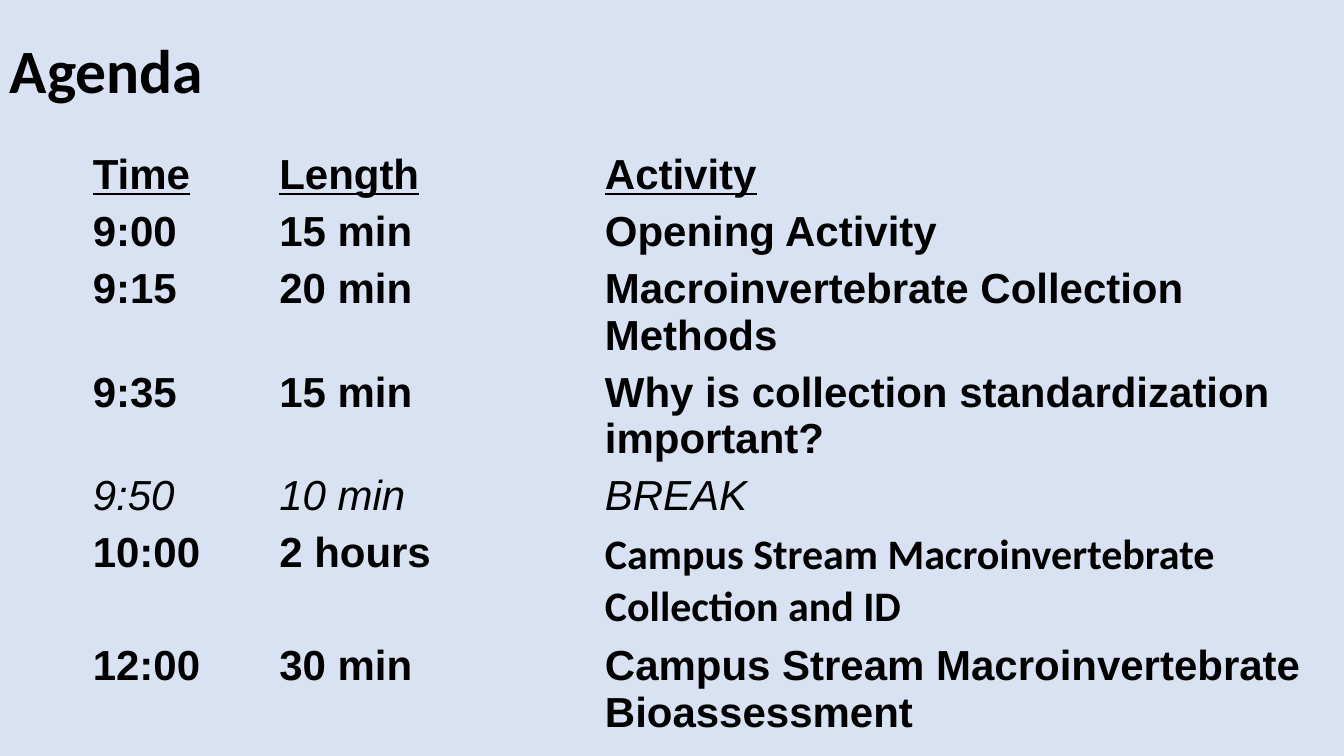
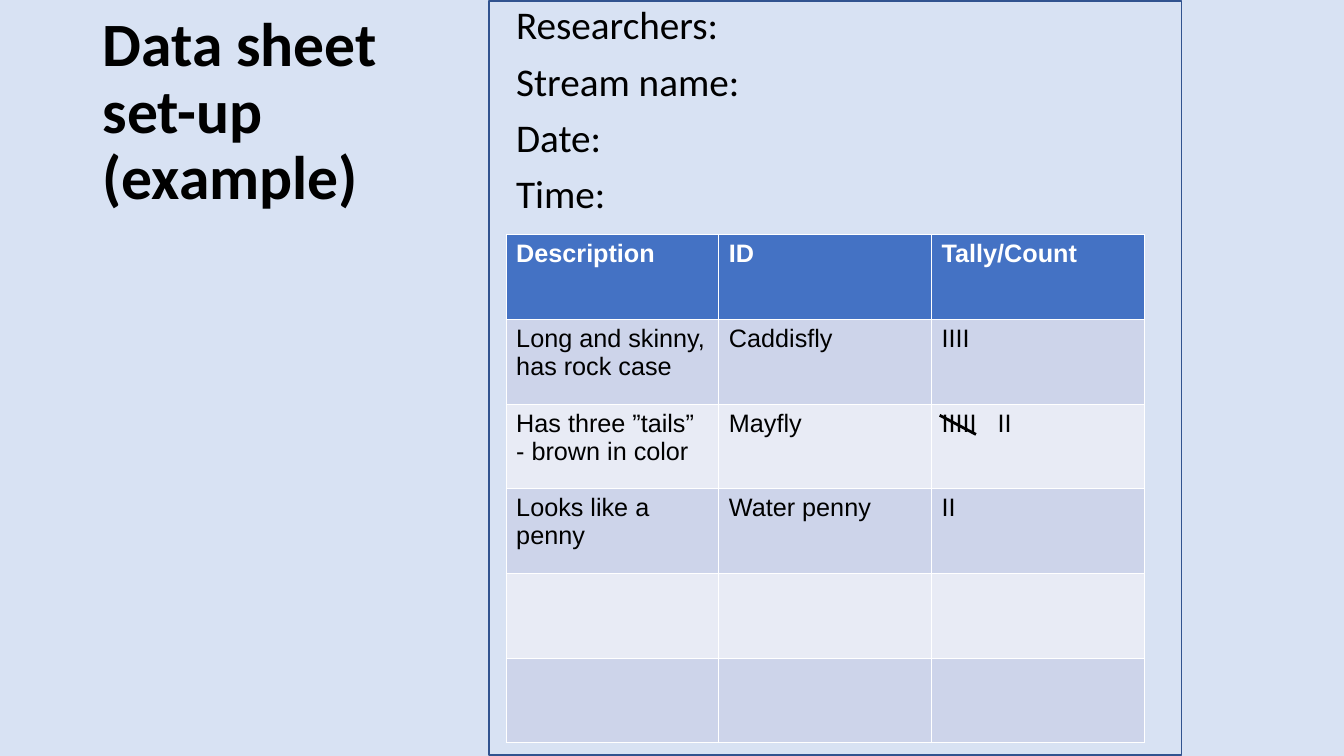
"""Build the agenda and data sheet slides."""
from pptx import Presentation
from pptx import util as u
from pptx.dml.color import RGBColor
from pptx.enum import shapes, text
from pptx.oxml import ns
from lxml import etree

W, H = 13.33, 7.5
BACK, BLACK, WHITE = "D8E2F3", "000000", "FFFFFF"
HEAD, BANDS, EDGE = "4472C4", ("CDD4EA", "E8EBF5"), "31538F"
PLAIN = "{2D5ABB26-0587-4C30-8999-92F81FD0307C}"
STREAM = "Campus Stream Macroinvertebrate Collection and ID"

AGENDA = [
    ("Time", "Length", "Activity"),
    ("9:00", "15 min", "Opening Activity"),
    ("9:15", "20 min", "Macroinvertebrate Collection Methods"),
    ("9:35", "15 min", "Why is collection standardization important?"),
    ("9:50", "10 min", "BREAK"),
    ("10:00", "2 hours", STREAM),
    ("12:00", "30 min", "Campus Stream Macroinvertebrate Bioassessment"),
]
FIELDS = ["Researchers:", "Stream name:", "Date:", "Time:"]
SHEET = [
    ("Description", "ID", "Tally/Count"),
    ("Long and skinny, has rock case", "Caddisfly", "IIII"),
    ("Has three ”tails” - brown in color", "Mayfly", "IIIII   II"),
    ("Looks like a penny", "Water penny", "II"),
    ("", "", ""),
    ("", "", ""),
]


def rgb(tint):
    return RGBColor.from_string(tint)


def write(frame, lines, size, face="Calibri", tint=BLACK, bold=False,
          ital=False, line=False, lead=None, gap=0):
    frame.word_wrap = True
    for i, words in enumerate(lines):
        para = frame.add_paragraph() if i else frame.paragraphs[0]
        para.line_spacing = lead
        if i:
            para.space_before = u.Pt(gap)
        para.font.size = u.Pt(size)
        if not words:
            continue
        run = para.add_run()
        run.text = words
        font = run.font
        font.name, font.size, font.bold = face, u.Pt(size), bold
        font.italic, font.underline = ital, line
        font.color.rgb = rgb(tint)


def label(page, box, lines, size, mid=False, **form):
    frame = page.shapes.add_textbox(*map(u.Inches, box)).text_frame
    write(frame, lines, size, lead=0.9, **form)
    frame.auto_size = text.MSO_AUTO_SIZE.NONE
    frame.vertical_anchor = text.MSO_ANCHOR.MIDDLE if mid else text.MSO_ANCHOR.TOP


def start(deck, title, box):
    page = deck.slides.add_slide(deck.slide_layouts[6])
    page.background.fill.solid()
    page.background.fill.fore_color.rgb = rgb(BACK)
    label(page, box, [title], 44, mid=True, bold=True)
    return page


def grid(page, rows, left, top, cols, high, look):
    spot = [u.Inches(n) for n in (left, top, sum(cols), high * len(rows))]
    table = page.shapes.add_table(len(rows), len(cols), *spot).table
    for col, wide in zip(table.columns, cols):
        col.width = u.Inches(wide)
    for r, row in enumerate(rows):
        table.rows[r].height = u.Inches(high)
        for c, words in enumerate(row):
            cell = table.cell(r, c)
            fill, form = look(r, words)
            if fill:
                cell.fill.solid()
                cell.fill.fore_color.rgb = rgb(fill)
            else:
                cell.fill.background()
            write(cell.text_frame, [words], **form)
    return table


def plan_look(r, words):
    rest = AGENDA[r][2] == "BREAK"
    face = "Calibri" if words == STREAM else "Arial"
    return None, dict(size=30, face=face, bold=not rest, ital=rest, line=r == 0)


def sheet_look(r, words):
    fill = BANDS[(r - 1) % 2] if r else HEAD
    tint = BLACK if r else WHITE
    return fill, dict(size=18, face="Arial", tint=tint, bold=r == 0)


def agenda(deck):
    page = start(deck, "Agenda", (0, 0, 11.5, 1.45))
    table = grid(page, AGENDA, 0.82, 1.45, (1.85, 3.23, 7.15), 0.41, plan_look)
    table.first_row = table.horz_banding = False
    table._tbl.tblPr.find(ns.qn("a:tableStyleId")).text = PLAIN


def sheet(deck):
    page = start(deck, "Data sheet set-up (example)", (0.92, 0.4, 3.93, 1.45))
    label(page, (5.02, 0.01, 6.51, 2.3), FIELDS, 28, gap=10)
    grid(page, SHEET, 5.02, 2.33, [2.11] * 3, 0.84, sheet_look)
    frame = page.shapes.add_shape(
        shapes.MSO_SHAPE.RECTANGLE, *map(u.Inches, (4.85, 0.01, 6.87, 7.48)))
    frame.shadow.inherit = False
    frame.fill.background()
    frame.line.color.rgb = rgb(EDGE)
    frame.line.width = u.Pt(1)
    slash = page.shapes.add_connector(
        shapes.MSO_CONNECTOR.STRAIGHT, *map(u.Inches, (9.32, 4.12, 9.68, 4.31)))
    slash.line.color.rgb = rgb(BLACK)
    slash.line.width = u.Pt(2)
    etree.SubElement(slash._element.spPr, ns.qn("a:effectLst"))


def main():
    deck = Presentation()
    deck.slide_width, deck.slide_height = u.Inches(W), u.Inches(H)
    agenda(deck)
    sheet(deck)
    deck.save("out.pptx")


if __name__ == "__main__":
    main()
